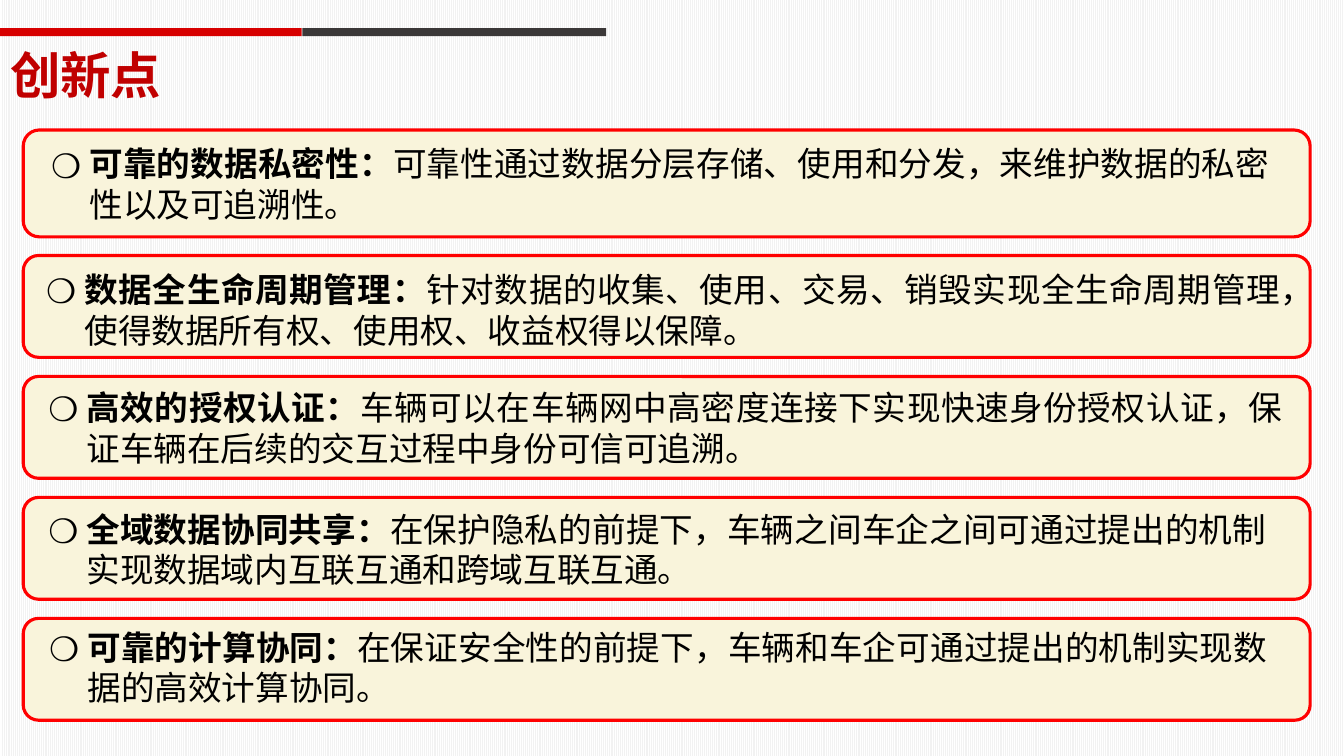
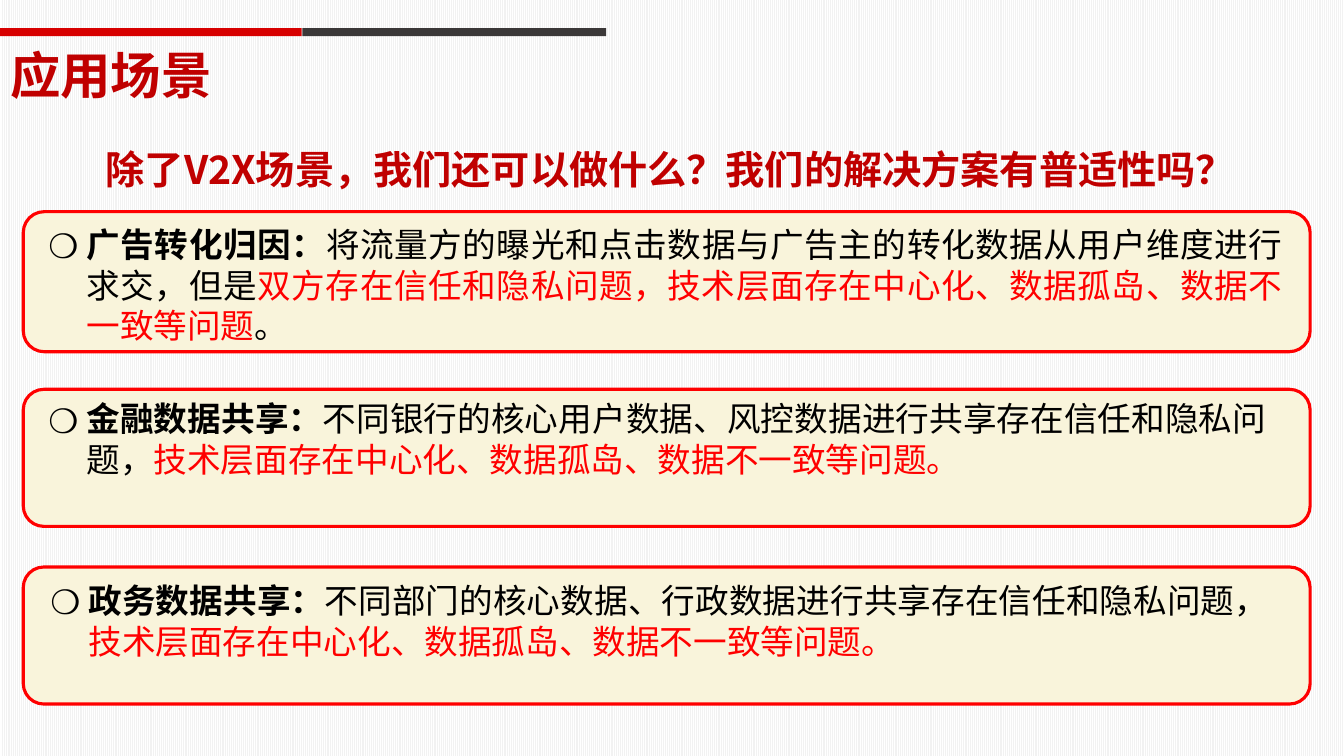
from pptx import Presentation
from pptx.dml.color import RGBColor
from pptx.enum.dml import MSO_PATTERN
from pptx.enum.shapes import MSO_SHAPE
from pptx.enum.text import MSO_ANCHOR, MSO_AUTO_SIZE, PP_ALIGN
from pptx.oxml.ns import qn
from pptx.util import Inches, Pt
from lxml.etree import SubElement

# Shared look
WHITE = RGBColor(0xFF, 0xFF, 0xFF)
STRIPE = RGBColor(0xF2, 0xF2, 0xF2)
CRIMSON = RGBColor(0xC0, 0x00, 0x00)
BAND = RGBColor(0xD7, 0x00, 0x00)
GREY = RGBColor(0x3B, 0x38, 0x38)
CREAM = RGBColor(0xF9, 0xF4, 0xDB)
RED = RGBColor(0xFF, 0x00, 0x00)
BLACK = RGBColor(0x00, 0x00, 0x00)
SANS = "Noto Sans CJK SC"
HEAD = "Montserrat"

deck = Presentation()
deck.slide_width, deck.slide_height = Inches(13.33), Inches(7.5)


def area(left, top, width, height):
    """Turn percent shares of the slide into lengths."""
    across, down = deck.slide_width / 100, deck.slide_height / 100
    return [int(left * across), int(top * down),
            int(width * across), int(height * down)]


def style(para, name, size, color, bold):
    """Set the font for Latin and Chinese letters alike."""
    font = para.font
    font.size, font.bold, font.name = Pt(size), bold, name
    font.color.rgb = color
    base = para._p.pPr.find(qn("a:defRPr"))
    base.find(qn("a:latin")).addnext(
        base.makeelement(qn("a:ea"), {"typeface": name}))


# Striped ground on the master
ground = deck.slide_master.background.fill
ground.patterned()
ground.pattern = MSO_PATTERN.NARROW_VERTICAL
ground.fore_color.rgb, ground.back_color.rgb = STRIPE, WHITE

# Each card: top, height, text left, text drop, text width, lines, runs
ISSUE = "技术层面存在中心化、数据孤岛、数据不一致等问题"
NARROW, WIDE = 93.85, 95.05
pages = [
    ("创新点", None, [
        (17.2, 14.13, 1.35, 1.07, NARROW, 2, [
            ("可靠的数据私密性：", BLACK),
            ("可靠性通过数据分层存储、使用和分发，来维护数据的私密性以及可追溯性。", BLACK)]),
        (33.8, 13.47, 0.98, 1.07, WIDE, 2, [
            ("数据全生命周期管理：", BLACK),
            ("针对数据的收集、使用、交易、销毁实现全生命周期管理，"
             "使得数据所有权、使用权、收益权得以保障。", BLACK)]),
        (49.8, 13.47, 1.13, 0.7, WIDE, 2, [
            ("高效的授权认证：", BLACK),
            ("车辆可以在车辆网中高密度连接下实现快速身份授权认证，"
             "保证车辆在后续的交互过程中身份可信可追溯。", BLACK)]),
        (65.8, 13.47, 1.13, 0.8, NARROW, 2, [
            ("全域数据协同共享：", BLACK),
            ("在保护隐私的前提下，车辆之间车企之间可通过提出的机制"
             "实现数据域内互联互通和跨域互联互通。", BLACK)]),
        (81.8, 13.47, 1.2, 0.4, NARROW, 2, [
            ("可靠的计算协同：", BLACK),
            ("在保证安全性的前提下，车辆和车企可通过提出的机制"
             "实现数据的高效计算协同。", BLACK)]),
    ]),
    ("应用场景", "除了V2X场景，我们还可以做什么？我们的解决方案有普适性吗？", [
        (28, 18.53, 1.13, 0.93, WIDE, 3, [
            ("广告转化归因：", BLACK),
            ("将流量方的曝光和点击数据与广告主的转化数据从用户维度进行求交，但是", BLACK),
            ("双方存在信任和隐私问题，" + ISSUE, RED),
            ("。", BLACK)]),
        (51.5, 18.13, 1.13, 0.5, NARROW, 2, [
            ("金融数据共享：", BLACK),
            ("不同银行的核心用户数据、风控数据进行共享存在信任和隐私问题，", BLACK),
            (ISSUE + "。", RED)]),
        (75, 18.13, 1.28, 1, NARROW, 2, [
            ("政务数据共享：", BLACK),
            ("不同部门的核心数据、行政数据进行共享存在信任和隐私问题，", BLACK),
            (ISSUE + "。", RED)]),
    ]),
]

for name, ask, cards in pages:
    slide = deck.slides.add_slide(deck.slide_layouts[5])

    # Title
    title = slide.shapes.title
    title.left, title.top, title.width, title.height = area(0, 5.2, 74.2, 9.47)
    title.text = name
    title.text_frame.vertical_anchor = MSO_ANCHOR.TOP
    title.text_frame.auto_size = MSO_AUTO_SIZE.NONE
    para = title.text_frame.paragraphs[0]
    para.alignment = PP_ALIGN.LEFT
    style(para, HEAD, 36, CRIMSON, True)

    # Two-tone band above the title
    group = slide.shapes.add_group_shape()
    for left, color in ((-0.15, BAND), (22.5, GREY)):
        bar = group.shapes.add_shape(MSO_SHAPE.RECTANGLE, *area(left, 3.73, 22.6, 1.07))
        bar.shadow.inherit = False
        bar.fill.solid()
        bar.fill.fore_color.rgb = color
        bar.line.fill.background()

    # Cards with their bulleted text
    for top, height, left, drop, width, lines, runs in cards:
        card = slide.shapes.add_shape(
            MSO_SHAPE.ROUNDED_RECTANGLE, *area(1.73, top, 95.75, height))
        card.adjustments[0] = 0.15
        card.shadow.inherit = False
        card.fill.solid()
        card.fill.fore_color.rgb = CREAM
        card.line.color.rgb, card.line.width = RED, Pt(2.25)

        box = slide.shapes.add_textbox(
            *area(left, top + drop, width, 1.4 + 5.36 * lines))
        box.text_frame.word_wrap = True
        para = box.text_frame.paragraphs[0]
        para.alignment = PP_ALIGN.JUSTIFY
        para.line_spacing = Pt(29)
        props = para._p.get_or_add_pPr()
        props.set("marL", str(Inches(0.61)))
        props.set("indent", str(Inches(-0.38)))
        SubElement(props, qn("a:buFont"), typeface=SANS)
        SubElement(props, qn("a:buChar"), char="❍")
        style(para, SANS, 24, BLACK, False)
        for spot, (text, color) in enumerate(runs):
            run = para.add_run()
            run.text = text
            run.font.bold = spot == 0
            run.font.color.rgb = color

    # Question under the title
    if ask:
        box = slide.shapes.add_textbox(*area(5.33, 14.93, 87.7, 9.33))
        box.text_frame.word_wrap = False
        para = box.text_frame.paragraphs[0]
        para.text = ask
        para.line_spacing = Pt(53)
        para._p.get_or_add_pPr().set("marL", str(Inches(0.24)))
        style(para, SANS, 28, CRIMSON, True)

deck.save("out.pptx")
